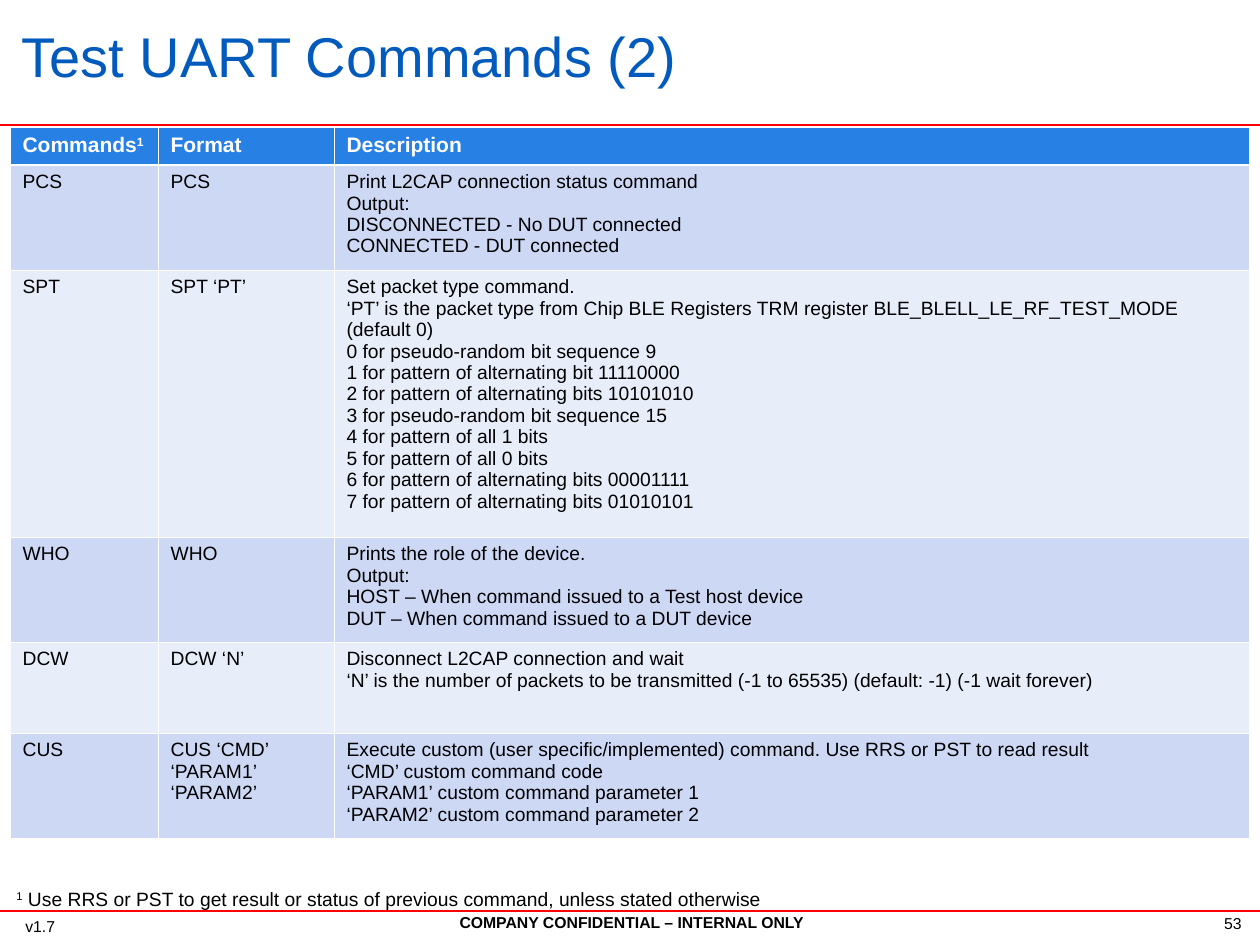
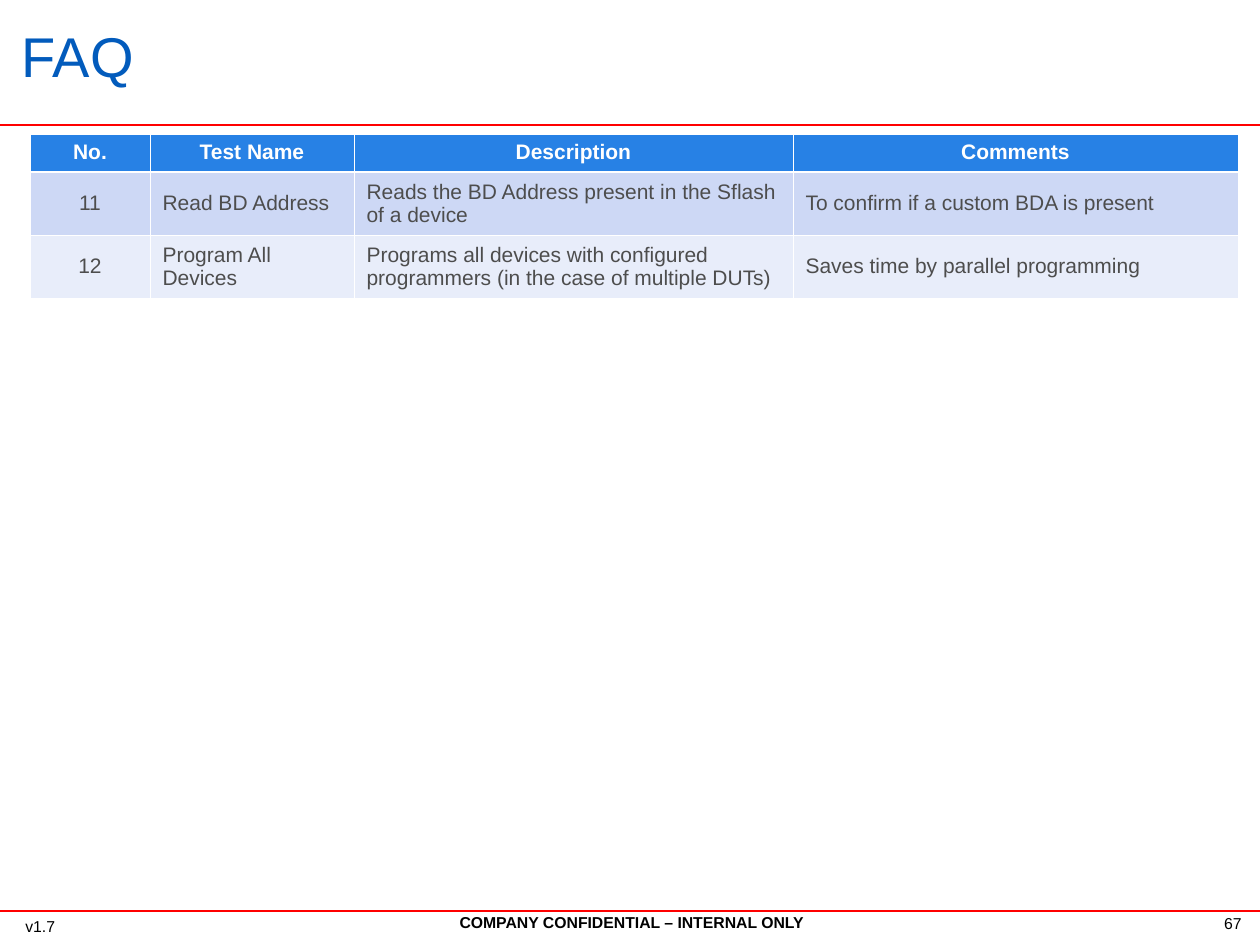
from lxml.etree import SubElement
from pptx import Presentation
from pptx.dml.color import RGBColor
from pptx.enum.shapes import MSO_CONNECTOR as Connector
from pptx.enum.text import MSO_ANCHOR as Anchor, MSO_AUTO_SIZE as AutoSize, PP_ALIGN as Align
from pptx.oxml.ns import qn
from pptx.util import Emu, Pt

EMU_PER_PX = 914400 / 126
PAGE_WIDTH, PAGE_HEIGHT = 1260, 945
FONT = "Arial"

BLACK = RGBColor(0x00, 0x00, 0x00)
WHITE = RGBColor(0xFF, 0xFF, 0xFF)
GRAY = RGBColor(0x4D, 0x4D, 0x4D)
RED = RGBColor(0xFF, 0x00, 0x00)
TITLE_BLUE = RGBColor(0x02, 0x5B, 0xBC)
HEADER_BLUE = RGBColor(0x27, 0x81, 0xE5)
BANDS = RGBColor(0xCD, 0xD8, 0xF5), RGBColor(0xE8, 0xED, 0xFA)

THIN, THICK = 0.45, 1.47
RULES_Y = 125, 911
TITLE_BOX = 9, 29, 1072, 66
NOTE_BOX = 4, 881, 1202, 52
CONFIDENTIAL_BOX = 309, 907, 645, 32
NUMBER_BOX = 1154, 908, 100, 32
VERSION_BOX = 13, 911, 100, 32

# A leading or trailing "^1" marks the raised footnote number
COMMANDS = [
    ["Commands^1", "Format", "Description"],
    ["PCS", "PCS", [
        "Print L2CAP connection status command",
        "Output:",
        "DISCONNECTED - No DUT connected\vCONNECTED - DUT connected"]],
    ["SPT", "SPT ‘PT’", [
        "Set packet type command.",
        "‘PT’ is the packet type from Chip BLE Registers TRM register "
        "BLE_BLELL_LE_RF_TEST_MODE (default 0)",
        "0 for pseudo-random bit sequence 9",
        "1 for pattern of alternating bit 11110000",
        "2 for pattern of alternating bits 10101010",
        "3 for pseudo-random bit sequence 15",
        "4 for pattern of all 1 bits",
        "5 for pattern of all 0 bits",
        "6 for pattern of alternating bits 00001111",
        "7 for pattern of alternating bits 01010101"]],
    ["WHO", "WHO", [
        "Prints the role of the device.",
        "Output:",
        "HOST – When command issued to a Test host device",
        "DUT – When command issued to a DUT device"]],
    ["DCW", "DCW ‘N’", [
        "Disconnect L2CAP connection and wait",
        "‘N’ is the number of packets to be transmitted (-1 to 65535) "
        "(default: -1) (-1 wait forever)"]],
    ["CUS", "CUS ‘CMD’ ‘PARAM1’ ‘PARAM2’", [
        "Execute custom (user specific/implemented) command. "
        "Use RRS or PST to read result",
        "‘CMD’ custom command code",
        "‘PARAM1’ custom command parameter 1",
        "‘PARAM2’ custom command parameter 2"]],
]
FAQ = [
    ["No.", "Test Name", "Description", "Comments"],
    ["11", "Read BD Address", "Reads the BD Address present in the Sflash of a device",
     "To confirm if a custom BDA is present"],
    ["12", "Program All Devices",
     "Programs all devices with configured programmers (in the case of multiple DUTs)",
     "Saves time by parallel programming"],
]


def px(length):
    return Emu(round(length * EMU_PER_PX))


def write_text(frame, text, size=11, color=BLACK, bold=False, align=Align.LEFT,
               anchor=Anchor.TOP, spacing=None):
    """Fill a frame with one line of text or a list of paragraphs."""
    frame.word_wrap = True
    frame.vertical_anchor = anchor
    lines = [text] if isinstance(text, str) else text
    for index, line in enumerate(lines):
        para = frame.paragraphs[0] if index == 0 else frame.add_paragraph()
        para.alignment = align
        para.line_spacing = spacing
        for part_index, part in enumerate(line.split("^")):
            raised = part_index > 0
            pieces = [(part[:1], True), (part[1:], False)] if raised else [(part, False)]
            for words, superscript in pieces:
                if words:
                    add_span(para, words, size, color, bold, superscript)


def add_span(para, words, size, color, bold, superscript):
    for index, piece in enumerate(words.split("\v")):
        if index:
            para.add_line_break()
        span = para.add_run()
        span.text = piece
        span.font.name = FONT
        span.font.size = Pt(size)
        span.font.bold = bold
        span.font.color.rgb = color
        if superscript:
            span.font._element.set("baseline", "30000")


def add_text(page, box, text, **style):
    frame = page.shapes.add_textbox(*map(px, box)).text_frame
    write_text(frame, text, **style)


def add_rule(page, y):
    rule = page.shapes.add_connector(Connector.STRAIGHT, 0, px(y), px(PAGE_WIDTH), px(y))
    rule.line.color.rgb = RED
    rule.line.width = Pt(1.25)
    SubElement(rule._element.spPr, qn("a:effectLst"))


def add_border(cell, side, width):
    line = SubElement(cell._tc.get_or_add_tcPr(), qn(f"a:ln{side}"), w=str(Pt(width)))
    fill = SubElement(line, qn("a:solidFill"))
    SubElement(fill, qn("a:srgbClr"), val=str(WHITE))


def add_table(page, left, top, widths, heights, rows, body, header_align=Align.LEFT,
              first_align=Align.LEFT):
    """Draw a table with a blue header row and two alternating body bands."""
    grid = page.shapes.add_table(len(rows), len(widths), px(left), px(top),
                                 px(sum(widths)), px(sum(heights))).table
    grid.horz_banding = False
    for column, width in zip(grid.columns, widths):
        column.width = px(width)
    for row, (height, texts) in enumerate(zip(heights, rows)):
        grid.rows[row].height = px(height)
        for column, text in enumerate(texts):
            cell = grid.cell(row, column)
            # Borders precede the fill in the cell properties
            for side in "LRTB":
                below_header = (row, side) in ((0, "B"), (1, "T"))
                add_border(cell, side, THICK if below_header else THIN)
            cell.fill.solid()
            if row == 0:
                cell.fill.fore_color.rgb = HEADER_BLUE
                style = dict(size=12, color=WHITE, bold=True, align=header_align)
            else:
                cell.fill.fore_color.rgb = BANDS[(row - 1) % 2]
                style = dict(body, align=first_align if column == 0 else Align.LEFT)
            cell.vertical_anchor = style.get("anchor", Anchor.TOP)
            write_text(cell.text_frame, text, **style)


def add_page(deck, title, number):
    """Add a page with its title, red rules and footer."""
    page = deck.slides.add_slide(deck.slide_layouts[5])
    add_text(page, CONFIDENTIAL_BOX, "COMPANY CONFIDENTIAL – INTERNAL ONLY",
             size=9, bold=True, align=Align.CENTER)
    add_text(page, NUMBER_BOX, str(number), size=9, align=Align.RIGHT)
    for y in RULES_Y:
        add_rule(page, y)
    add_text(page, VERSION_BOX, "v1.7", size=9)

    heading = page.shapes.title
    heading.left, heading.top, heading.width, heading.height = map(px, TITLE_BOX)
    write_text(heading.text_frame, title, size=32, color=TITLE_BLUE,
               anchor=Anchor.MIDDLE, spacing=0.79)
    heading.text_frame.auto_size = AutoSize.NONE
    return page


def add_commands_page(deck):
    page = add_page(deck, "Test UART Commands (2)", 53)
    add_table(page, 10, 127, [148, 176, 915], [38, 105, 267, 105, 91, 105], COMMANDS,
              body=dict(size=11))
    add_text(page, NOTE_BOX, "^1 Use RRS or PST to get result or status of previous "
             "command, unless stated otherwise")


def add_faq_page(deck):
    page = add_page(deck, "FAQ", 67)
    add_table(page, 30, 134, [120, 204, 439, 445], [38, 63, 63], FAQ,
              body=dict(size=12, color=GRAY, anchor=Anchor.MIDDLE),
              header_align=Align.CENTER, first_align=Align.CENTER)


def main():
    deck = Presentation()
    deck.slide_width, deck.slide_height = px(PAGE_WIDTH), px(PAGE_HEIGHT)
    add_commands_page(deck)
    add_faq_page(deck)
    deck.save("out.pptx")


if __name__ == "__main__":
    main()
